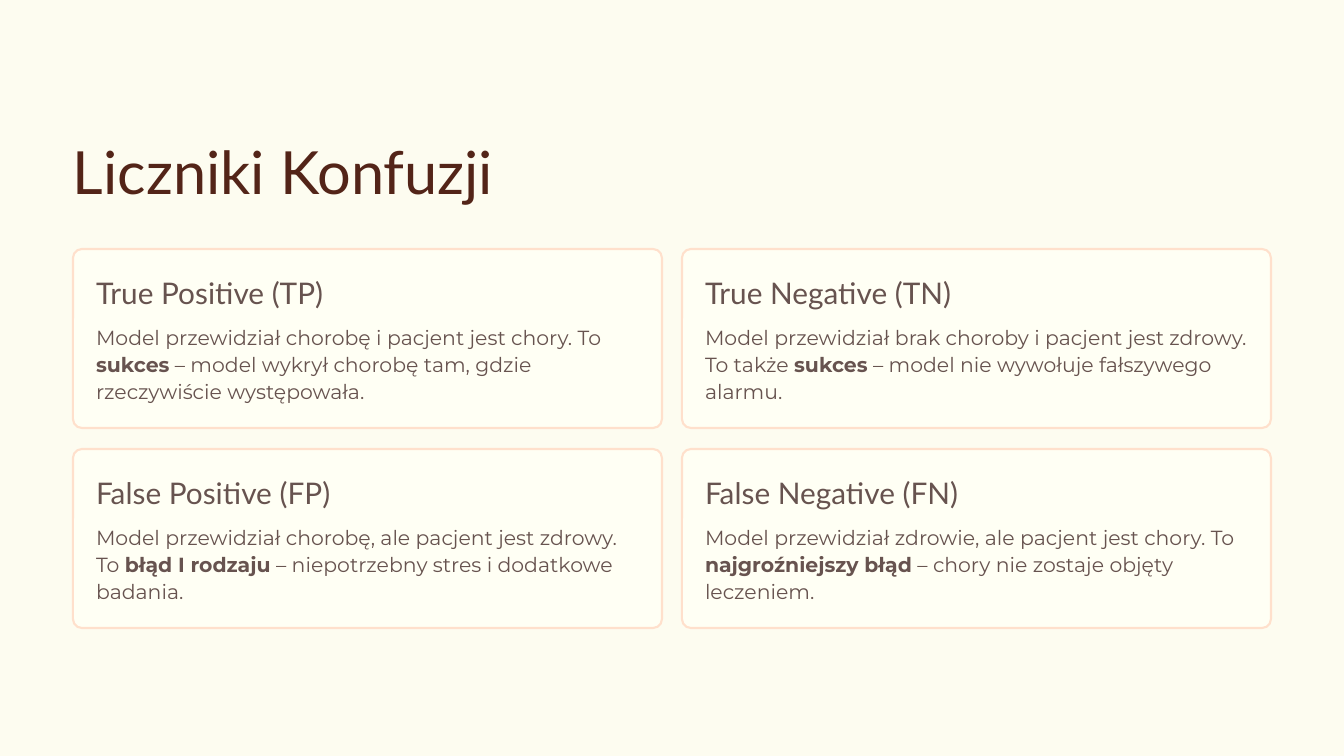
from pptx import Presentation
from pptx.dml.color import RGBColor
from pptx.enum.shapes import MSO_SHAPE
from pptx.enum.text import MSO_ANCHOR, MSO_AUTO_SIZE, PP_ALIGN
from pptx.util import Emu, Pt

ROUNDED = MSO_SHAPE.ROUNDED_RECTANGLE
TOP = MSO_ANCHOR.TOP
LEFT = PP_ALIGN.LEFT
NO_FIT = MSO_AUTO_SIZE.NONE

EMU_PER_PX = 914400 / 84
HEADING_FONT = "Lato"
BODY_FONT = "Montserrat"
BACKGROUND = "FDFCF0"
CARD_FILL = "FFFFF4"
CARD_BORDER = "FFE0CC"
TITLE_COLOR = "532418"
TEXT_COLOR = "67534F"

CARD_LEFT, CARD_TOP = 73, 249
CARD_WIDTH, CARD_HEIGHT = 589, 179
COLUMN_STEP, ROW_STEP = 609, 200
CARD_PADDING = 23
COLUMNS = 2

OUTCOMES = [
    ("True Positive (TP)",
     "Model przewidział chorobę i pacjent jest chory. To ",
     "sukces",
     " – model wykrył chorobę tam, gdzie rzeczywiście występowała."),
    ("True Negative (TN)",
     "Model przewidział brak choroby i pacjent jest zdrowy. To także ",
     "sukces",
     " – model nie wywołuje fałszywego alarmu."),
    ("False Positive (FP)",
     "Model przewidział chorobę, ale pacjent jest zdrowy. To ",
     "błąd I rodzaju",
     " – niepotrzebny stres i dodatkowe badania."),
    ("False Negative (FN)",
     "Model przewidział zdrowie, ale pacjent jest chory. To ",
     "najgroźniejszy błąd",
     " – chory nie zostaje objęty leczeniem."),
]


def px(length):
    return Emu(round(length * EMU_PER_PX))


def color(hex_value):
    return RGBColor.from_string(hex_value)


def set_text(shape, segments, font_name, size, line_height, text_color, wrap):
    frame = shape.text_frame
    frame.margin_left = frame.margin_right = 0
    frame.margin_top = frame.margin_bottom = 0
    frame.vertical_anchor = TOP
    frame.auto_size = NO_FIT
    frame.word_wrap = wrap
    paragraph = frame.paragraphs[0]
    paragraph.alignment = LEFT
    paragraph.line_spacing = Pt(line_height)
    paragraph.font.name = font_name
    paragraph.font.size = Pt(size)
    paragraph.font.color.rgb = color(text_color)
    for text, bold in segments:
        run = paragraph.add_run()
        run.text = text
        if bold:
            run.font.bold = True


def add_title(slide, text):
    title = slide.shapes.title
    title.left, title.top = px(73), px(129)
    title.width, title.height = px(599), px(78)
    set_text(title, [(text, False)], HEADING_FONT, 51, 66.5, TITLE_COLOR, False)


def add_panel(slide, left, top):
    panel = slide.shapes.add_shape(
        ROUNDED, px(left), px(top), px(CARD_WIDTH), px(CARD_HEIGHT))
    panel.adjustments[0] = 0.05
    panel.shadow.inherit = False
    panel.fill.solid()
    panel.fill.fore_color.rgb = color(CARD_FILL)
    panel.line.color.rgb = color(CARD_BORDER)
    panel.line.width = Pt(1.8)


def add_card(slide, left, top, outcome):
    name, lead, verdict, explanation = outcome
    add_panel(slide, left, top)
    text_left = px(left + CARD_PADDING)
    heading = slide.shapes.add_textbox(
        text_left, px(top + CARD_PADDING), px(300), px(39))
    set_text(heading, [(name, False)], HEADING_FONT, 25.5, 33, TEXT_COLOR, False)
    description = slide.shapes.add_textbox(
        text_left, px(top + 74), px(CARD_WIDTH - 2 * CARD_PADDING), px(81))
    segments = [(lead, False), (verdict, True), (explanation, False)]
    set_text(description, segments, BODY_FONT, 17.5, 23, TEXT_COLOR, True)


def main():
    presentation = Presentation()
    presentation.slide_width, presentation.slide_height = px(1344), px(756)
    slide = presentation.slides.add_slide(presentation.slide_layouts[5])
    slide.background.fill.solid()
    slide.background.fill.fore_color.rgb = color(BACKGROUND)
    add_title(slide, "Liczniki Konfuzji")
    for index, outcome in enumerate(OUTCOMES):
        row, column = divmod(index, COLUMNS)
        add_card(slide, CARD_LEFT + column * COLUMN_STEP,
                 CARD_TOP + row * ROW_STEP, outcome)
    presentation.save("out.pptx")


if __name__ == "__main__":
    main()
